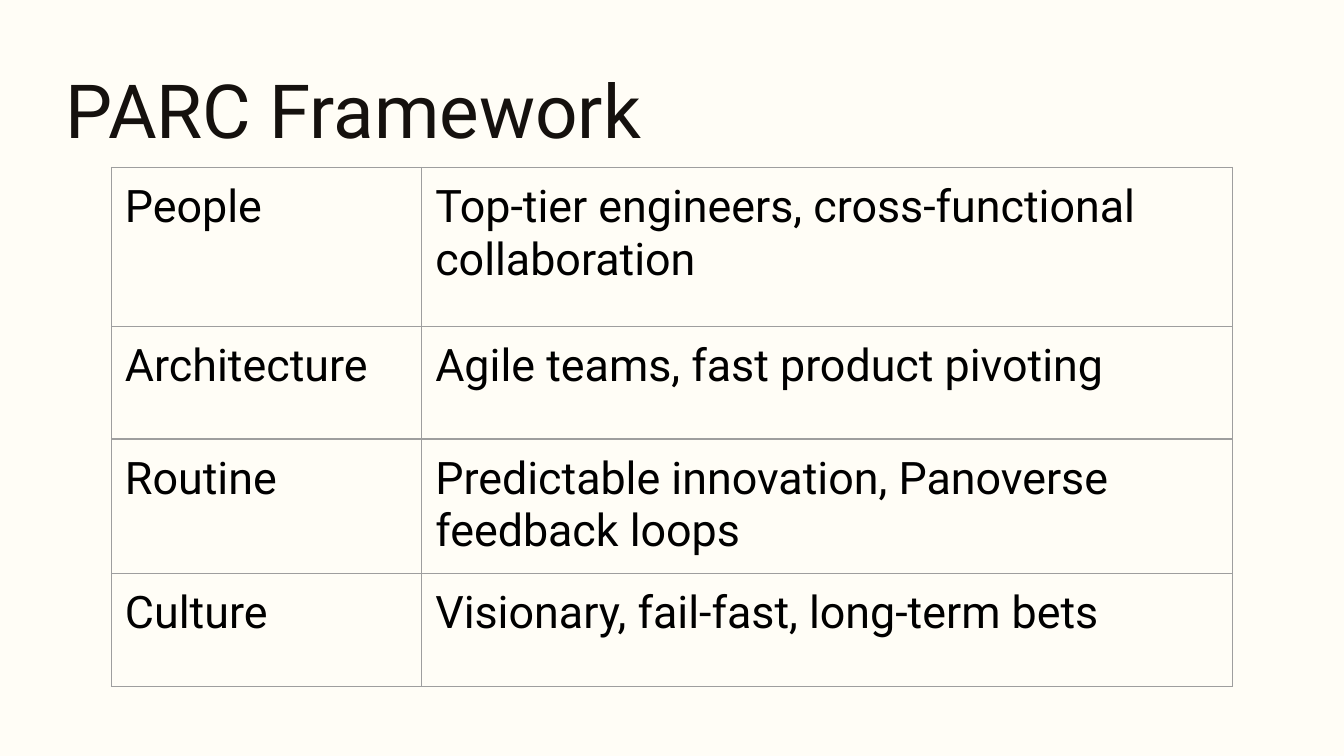
from lxml import etree
from pptx import Presentation
from pptx.dml.color import RGBColor
from pptx.enum import text
from pptx.oxml import ns
from pptx.util import Pt

CREAM = RGBColor(0xFF, 0xFD, 0xF6)
INK = RGBColor(0x15, 0x11, 0x0E)
BLACK = RGBColor(0, 0, 0)
GREY = RGBColor(0x9E, 0x9E, 0x9E)
FONT = "Roboto"
INSET = Pt(7.2)
COLS = (166.25, 434.25)
ROWS = (85, 60.5, 60.5, 60.5)
PARC = (
    ("People", "Top-tier engineers, cross-functional collaboration"),
    ("Architecture", "Agile teams, fast product pivoting"),
    ("Routine", "Predictable innovation, Panoverse feedback loops"),
    ("Culture", "Visionary, fail-fast, long-term bets"),
)


def style(frame, words, size, color):
    """Fill a text frame with one paragraph in the slide font."""
    frame.text = words
    frame.word_wrap = True
    font = frame.paragraphs[0].runs[0].font
    font.name, font.size = FONT, Pt(size)
    font.color.rgb = color


def edge(cell):
    """Draw a thin grey line on all four sides of a cell."""
    props = cell._tc.get_or_add_tcPr()
    for spot, side in enumerate(("lnL", "lnR", "lnT", "lnB")):
        line = etree.Element(ns.qn("a:" + side), w=str(Pt(0.75)))
        fill = etree.SubElement(line, ns.qn("a:solidFill"))
        etree.SubElement(fill, ns.qn("a:srgbClr"), val=str(GREY))
        props.insert(spot, line)


def title(slide, left, top, width, height):
    """Place the slide title in the given box."""
    box = slide.shapes.add_textbox(Pt(left), Pt(top), Pt(width), Pt(height))
    frame = box.text_frame
    style(frame, "PARC Framework", 40, INK)
    frame.vertical_anchor = text.MSO_ANCHOR.TOP
    frame.margin_left = frame.margin_right = INSET
    frame.margin_top = frame.margin_bottom = INSET


def grid(slide, left, top, width, height):
    """Place the framework table, its tracks shared out over the given box."""
    frame = slide.shapes.add_table(
        len(ROWS), len(COLS), Pt(left), Pt(top), Pt(width), Pt(height))
    table = frame.table
    table.first_row = table.horz_banding = False
    for col, size in zip(table.columns, COLS):
        col.width = Pt(width * size / sum(COLS))
    for row, size, words in zip(table.rows, ROWS, PARC):
        row.height = Pt(height * size / sum(ROWS))
        for cell, word in zip(row.cells, words):
            style(cell.text_frame, word, 24, BLACK)
            cell.margin_left = cell.margin_right = INSET
            cell.margin_top = cell.margin_bottom = INSET
            cell.fill.background()
            edge(cell)


def main():
    """Build the slide and save it."""
    deck = Presentation()
    deck.slide_width, deck.slide_height = Pt(720), Pt(405)
    slide = deck.slides.add_slide(deck.slide_layouts[6])
    back = slide.background.fill
    back.solid()
    back.fore_color.rgb = CREAM
    title(slide, 28.25, 26.75, 663, 98.5)
    grid(slide, 59.75, 89.75, sum(COLS), sum(ROWS))
    deck.save("out.pptx")


if __name__ == "__main__":
    main()
